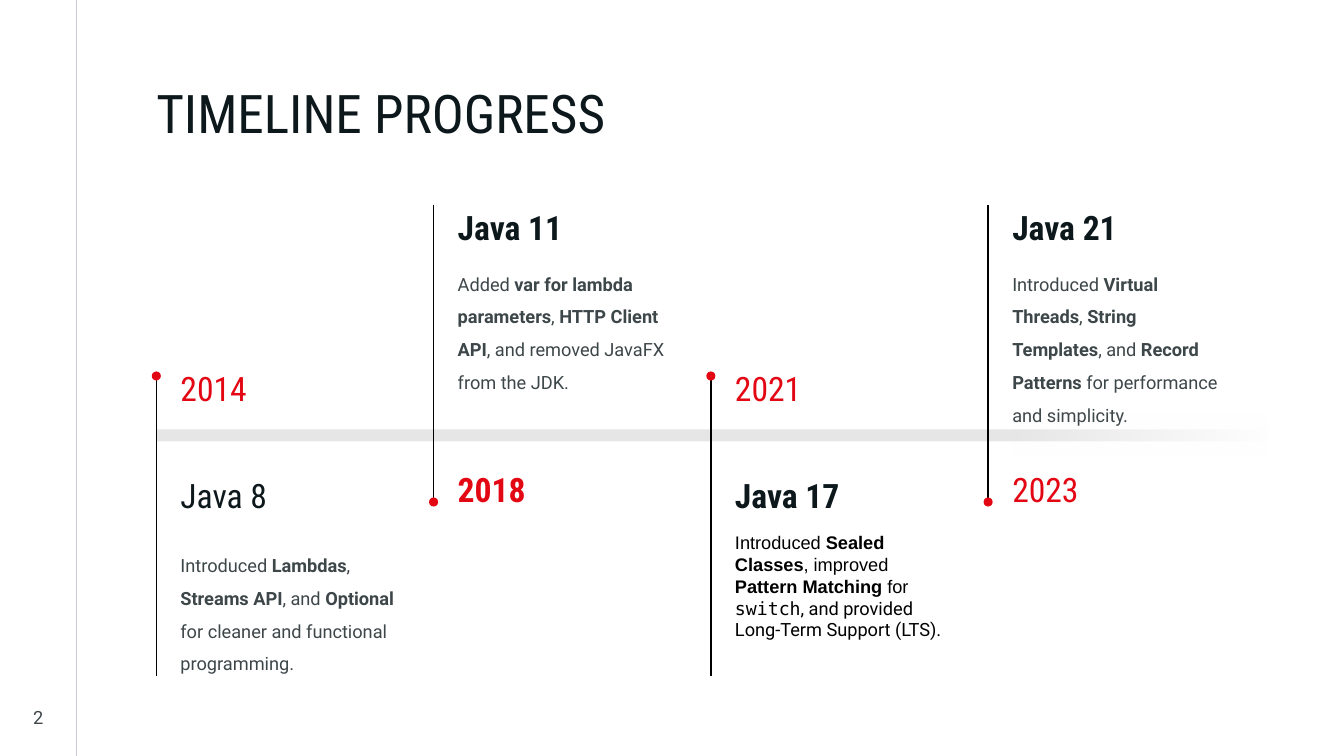
from dataclasses import dataclass

from lxml.etree import SubElement
from pptx import Presentation
from pptx.dml.color import RGBColor
from pptx.enum.shapes import MSO_CONNECTOR as Connector, MSO_SHAPE as Shape
from pptx.enum.text import MSO_ANCHOR as Anchor, MSO_AUTO_SIZE as AutoSize, PP_ALIGN as Align
from pptx.oxml.ns import qn
from pptx.util import Inches, Pt

COLORS = {
    "ink": "0D181C",
    "body": "3D4649",
    "red": "E30613",
    "black": "000000",
    "white": "FFFFFF",
    "bar": "E6E6E6",
    "rule": "787F92",
}
HEADING, BODY, PLAIN, MONO = "Roboto Condensed", "Roboto", "Arial", "DejaVu Sans Mono"
DOT = 0.09


@dataclass
class Milestone:
    year: str
    version: str
    details: list
    above: bool
    bold_year: bool = False
    bold_version: bool = True
    compact: bool = False


def regular(words, font=None):
    return words, False, font


def strong(words, font=None):
    return words, True, font


MILESTONES = [
    Milestone("2014", "Java 8", [
        regular("Introduced "), strong("Lambdas"), regular(", "), strong("Streams API"),
        regular(", and "), strong("Optional"),
        regular(" for cleaner and functional programming."),
    ], above=False, bold_version=False),
    Milestone("2018", "Java 11", [
        regular("Added "), strong("var for lambda parameters"), regular(", "),
        strong("HTTP Client API"), regular(", and removed JavaFX from the JDK."),
    ], above=True, bold_year=True),
    Milestone("2021", "Java 17", [
        regular("Introduced ", PLAIN), strong("Sealed Classes", PLAIN),
        regular(", improved ", PLAIN), strong("Pattern Matching", PLAIN),
        regular(" for ", PLAIN), regular("switch", MONO),
        regular(", and provided Long-Term Support (LTS)."),
    ], above=False, compact=True),
    Milestone("2023", "Java 21", [
        regular("Introduced "), strong("Virtual Threads"), regular(", "),
        strong("String Templates"), regular(", and "), strong("Record Patterns"),
        regular(" for performance and simplicity."),
    ], above=True),
]


def rgb(name):
    return RGBColor.from_string(COLORS[name])


def set_alpha(color_parent, percent):
    color = color_parent.find(".//" + qn("a:srgbClr"))
    SubElement(color, qn("a:alpha")).set("val", str(percent * 1000))


def add_text(slide, box, runs, size, color, font):
    text_box = slide.shapes.add_textbox(*map(Inches, box))
    frame = text_box.text_frame
    frame.word_wrap = True
    frame.auto_size = AutoSize.SHAPE_TO_FIT_TEXT
    frame.margin_left = frame.margin_right = frame.margin_top = frame.margin_bottom = 0
    paragraph = frame.paragraphs[0]
    for words, bold, run_font in runs:
        run = paragraph.add_run()
        run.text = words
        run.font.size = Pt(size)
        run.font.bold = bold
        run.font.name = run_font or font
        run.font.color.rgb = rgb(color)
    return frame


def add_line(slide, x, top, length, color, width):
    line = slide.shapes.add_connector(
        Connector.STRAIGHT, Inches(x), Inches(top), Inches(x), Inches(top + length))
    line.line.color.rgb = rgb(color)
    line.line.width = Pt(width)
    SubElement(line._element.spPr, qn("a:effectLst"))
    return line


def add_solid(slide, kind, box, color):
    solid = slide.shapes.add_shape(kind, *map(Inches, box))
    solid.shadow.inherit = False
    solid.line.fill.background()
    solid.fill.solid()
    solid.fill.fore_color.rgb = rgb(color)
    return solid


def add_sidebar(slide, width, height, number):
    rule = add_line(slide, width, 0, height, "rule", 0.5)
    set_alpha(rule.line._ln, 60)
    frame = add_text(slide, (0, height - width, width, width), [regular(number)], 13, "body", BODY)
    frame.auto_size = AutoSize.NONE
    frame.vertical_anchor = Anchor.MIDDLE
    frame.paragraphs[0].alignment = Align.CENTER


def add_track(slide, left, top, width):
    add_solid(slide, Shape.RECTANGLE, (left, top, width, 0.12), "bar")
    fade_width = 2.54
    fade = add_solid(
        slide, Shape.RECTANGLE, (left + width - fade_width, top - 0.16, fade_width, 0.41), "white")
    fade.fill.gradient()
    fade.fill.gradient_angle = 0
    for stop, opacity in zip(fade.fill.gradient_stops, (0, 100)):
        stop.color.rgb = rgb("white")
        set_alpha(stop._gs, opacity)


def add_milestone(slide, x, track_top, milestone):
    if milestone.above:
        stem, dot, year, version, details = -2.23, 0.72, 0.39, -2.21, -1.66
    else:
        stem, dot, year, version, details = -0.53, -0.53, -0.61, 0.45, 1.13
    if milestone.compact:
        details = 1.01
    text_left, text_width = x + 0.24, 2.13

    add_line(slide, x, track_top + stem, 2.98, "black", 1)
    add_solid(slide, Shape.OVAL,
              (x - DOT / 2, track_top + dot - DOT / 2, DOT, DOT), "red")
    for words, bold, offset, color in (
        (milestone.year, milestone.bold_year, year, "red"),
        (milestone.version, milestone.bold_version, version, "ink"),
    ):
        add_text(slide, (text_left, track_top + offset, text_width, 0.4),
                 [(words, bold, None)], 24, color, HEADING)
    frame = add_text(slide, (text_left, track_top + details, text_width, 1.28),
                     milestone.details, 13, "black" if milestone.compact else "body", BODY)
    if not milestone.compact:
        frame.paragraphs[0].line_spacing = 1.5
        frame.paragraphs[0].space_after = Pt(8)


def add_timeline_slide(deck):
    slide = deck.slides.add_slide(deck.slide_layouts[6])
    left, width, track_top = 1.55, 11.02, 4.26
    add_sidebar(slide, 0.76, 7.5, "2")
    add_track(slide, left, track_top, width)
    add_text(slide, (left, 0.8, width, 0.64), [regular("TIMELINE PROGRESS")], 38, "ink", HEADING)
    for column, milestone in enumerate(MILESTONES):
        add_milestone(slide, left + 2.75 * column, track_top, milestone)


def main():
    deck = Presentation()
    deck.slide_width, deck.slide_height = Inches(13.33), Inches(7.5)
    add_timeline_slide(deck)
    deck.save("out.pptx")


if __name__ == "__main__":
    main()
